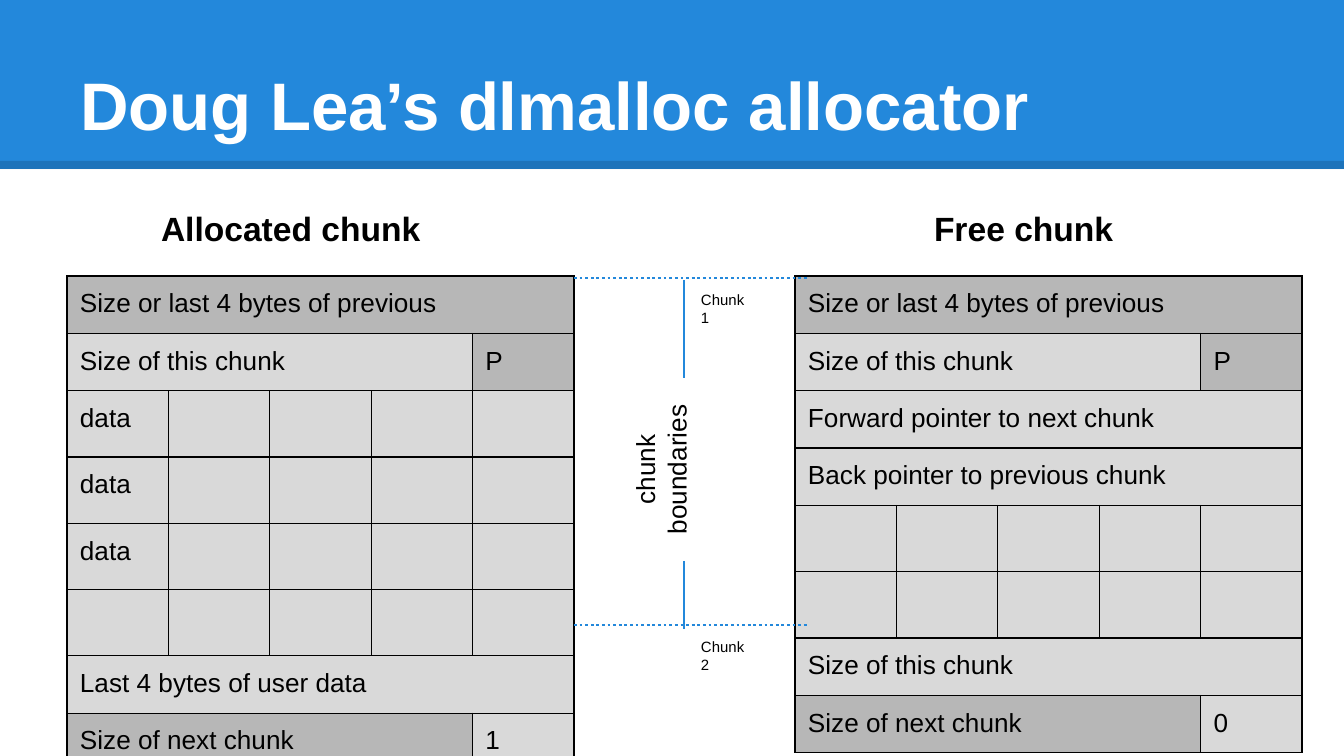
from pptx import Presentation
from pptx.dml.color import RGBColor
from pptx.enum.dml import MSO_LINE
from pptx.enum.shapes import MSO_CONNECTOR, MSO_SHAPE
from pptx.enum.text import MSO_ANCHOR, MSO_AUTO_SIZE, PP_ALIGN
from pptx.oxml import parse_xml
from pptx.oxml.ns import nsdecls, qn
from pptx.util import Emu, Pt

SLIDE_WIDTH, SLIDE_HEIGHT = 1344, 756
EMU_PER_PX = 9144000 / SLIDE_WIDTH
INSET = 13
COLUMNS = 5
ROW_HEIGHT = 56
BLUE, BLACK, WHITE = "2388DB", "000000", "FFFFFF"
DARK, LIGHT = "B7B7B7", "D9D9D9"
BLANK_ROW = [("", 1, LIGHT)] * COLUMNS
DATA_ROW = [("data", 1, LIGHT)] + BLANK_ROW[1:]
HEADER_ROWS = [
    [("Size or last 4 bytes of previous", 5, DARK)],
    [("Size of this chunk", 4, LIGHT), ("P", 1, DARK)],
]
ALLOCATED_ROWS = HEADER_ROWS + [DATA_ROW] * 3 + [
    BLANK_ROW,
    [("Last 4 bytes of user data", 5, LIGHT)],
    [("Size of next chunk", 4, DARK), ("1", 1, LIGHT)],
]
FREE_ROWS = HEADER_ROWS + [
    [("Forward pointer to next chunk", 5, LIGHT)],
    [("Back pointer to previous chunk", 5, LIGHT)],
    BLANK_ROW,
    BLANK_ROW,
    [("Size of this chunk", 5, LIGHT)],
    [("Size of next chunk", 4, DARK), ("0", 1, LIGHT)],
]


def px(length):
    """Turn px into EMU."""
    return Emu(round(length * EMU_PER_PX))


def color(hex_string):
    """Turn a hex string into a colour."""
    return RGBColor.from_string(hex_string)


def set_attributes(target, values):
    """Set each named attribute of the target."""
    for name, value in values.items():
        setattr(target, name, value)


def set_insets(target):
    """Give a text frame or cell the same inset on all sides."""
    sides = ("left", "right", "top", "bottom")
    set_attributes(target, {f"margin_{side}": px(INSET) for side in sides})


def write_text(frame, text, size, align=PP_ALIGN.LEFT, bold=False, fill=BLACK):
    """Write one formatted paragraph for each line of text."""
    frame.text = text
    for paragraph in frame.paragraphs:
        paragraph.alignment = align
        font = paragraph.runs[0].font
        set_attributes(font, {"name": "Arial", "size": Pt(size), "bold": bold})
        font.color.rgb = color(fill)


def add_label(slide, box, text, size, rotation=0, **text_format):
    """Add a wrapping text box."""
    shape = slide.shapes.add_textbox(*map(px, box))
    shape.rotation = rotation
    shape.text_frame.word_wrap = True
    set_insets(shape.text_frame)
    write_text(shape.text_frame, text, size, **text_format)


def add_line(slide, start, end, width=1.5, fill=BLUE, dash=MSO_LINE.SOLID):
    """Add a straight line without shadow."""
    connector = slide.shapes.add_connector(
        MSO_CONNECTOR.STRAIGHT, *map(px, start + end)
    )
    set_attributes(connector.line, {"width": Pt(width), "dash_style": dash})
    connector.line.color.rgb = color(fill)
    connector._element.spPr.append(parse_xml(f"<a:effectLst {nsdecls('a')}/>"))
    return connector


def add_title_band(slide, box, text):
    """Place the blue band, its translucent lower edge and the title."""
    left, top, width, height = box
    band = slide.shapes.add_shape(MSO_SHAPE.RECTANGLE, *map(px, box))
    band.shadow.inherit = False
    band.fill.solid()
    band.fill.fore_color.rgb = color(BLUE)
    band.line.fill.background()
    edge_y = top + height - 4
    edge = add_line(slide, (left, edge_y), (left + width, edge_y), 4.5, BLACK)
    edge_color = next(edge._element.iter(qn("a:srgbClr")))
    edge_color.append(parse_xml(f'<a:alpha {nsdecls("a")} val="15000"/>'))
    title = slide.shapes.title
    slide.shapes._spTree.append(title._element)
    set_attributes(title, {
        "left": px(left + 67), "top": px(top + 31),
        "width": px(width - 134), "height": px(126),
    })
    set_attributes(title.text_frame, {
        "word_wrap": True,
        "auto_size": MSO_AUTO_SIZE.NONE,
        "vertical_anchor": MSO_ANCHOR.BOTTOM,
    })
    set_insets(title.text_frame)
    write_text(title.text_frame, text, 36, bold=True, fill=WHITE)


def format_cell(cell, fill):
    """Give a cell its borders, insets and fill."""
    properties = cell._tc.get_or_add_tcPr()
    for side in "LRTB":
        properties.append(parse_xml(
            f'<a:ln{side} {nsdecls("a")} w="{Pt(0.75)}"><a:solidFill>'
            f'<a:srgbClr val="{BLACK}"/></a:solidFill></a:ln{side}>'
        ))
    set_insets(cell)
    cell.fill.solid()
    cell.fill.fore_color.rgb = color(fill)


def add_chunk(slide, box, heading, heading_offset, rows):
    """Place a heading and the memory layout table below it."""
    left, top, width, height = box
    add_label(slide, (left + heading_offset, top, 335, 69), heading, 18, bold=True)
    table_height = ROW_HEIGHT * len(rows)
    table = slide.shapes.add_table(
        len(rows), COLUMNS, px(left), px(top + height - table_height),
        px(width), px(table_height)
    ).table
    for row_index, fields in enumerate(rows):
        column = 0
        for text, span, fill in fields:
            cells = [table.cell(row_index, column + step) for step in range(span)]
            for cell in cells:
                format_cell(cell, fill)
            if span > 1:
                cells[0].merge(cells[-1])
            if text:
                write_text(cells[0].text_frame, text, 14)
            column += span


def add_boundaries(slide, box):
    """Place the dotted chunk boundaries, their labels and the joining lines."""
    left, top, width, height = box
    for number, y in enumerate((top, top + height), 1):
        add_line(slide, (left, y), (left + width, y), dash=MSO_LINE.ROUND_DOT)
        add_label(slide, (left + 114, y, 81, 69), f"Chunk {number}", 8)
    add_label(slide, (left + 19, top + 123, 183, 137), "chunk\nboundaries", 14,
              rotation=270, align=PP_ALIGN.CENTER)
    middle = left + 110
    for start, end in ((2, 100), (283, 351)):
        add_line(slide, (middle, top + start), (middle, top + end))


def main():
    """Build and save the slide."""
    presentation = Presentation()
    set_attributes(presentation, {
        "slide_width": px(SLIDE_WIDTH), "slide_height": px(SLIDE_HEIGHT),
    })
    slide = presentation.slides.add_slide(presentation.slide_layouts[5])
    add_title_band(slide, (0, 0, SLIDE_WIDTH, 169), "Doug Lea’s dlmalloc allocator")
    add_chunk(slide, (67, 195, 507, 529), "Allocated chunk", 81, ALLOCATED_ROWS)
    add_chunk(slide, (795, 195, 507, 529), "Free chunk", 126, FREE_ROWS)
    add_boundaries(slide, (574, 278, 234, 347))
    presentation.save("out.pptx")


if __name__ == "__main__":
    main()
